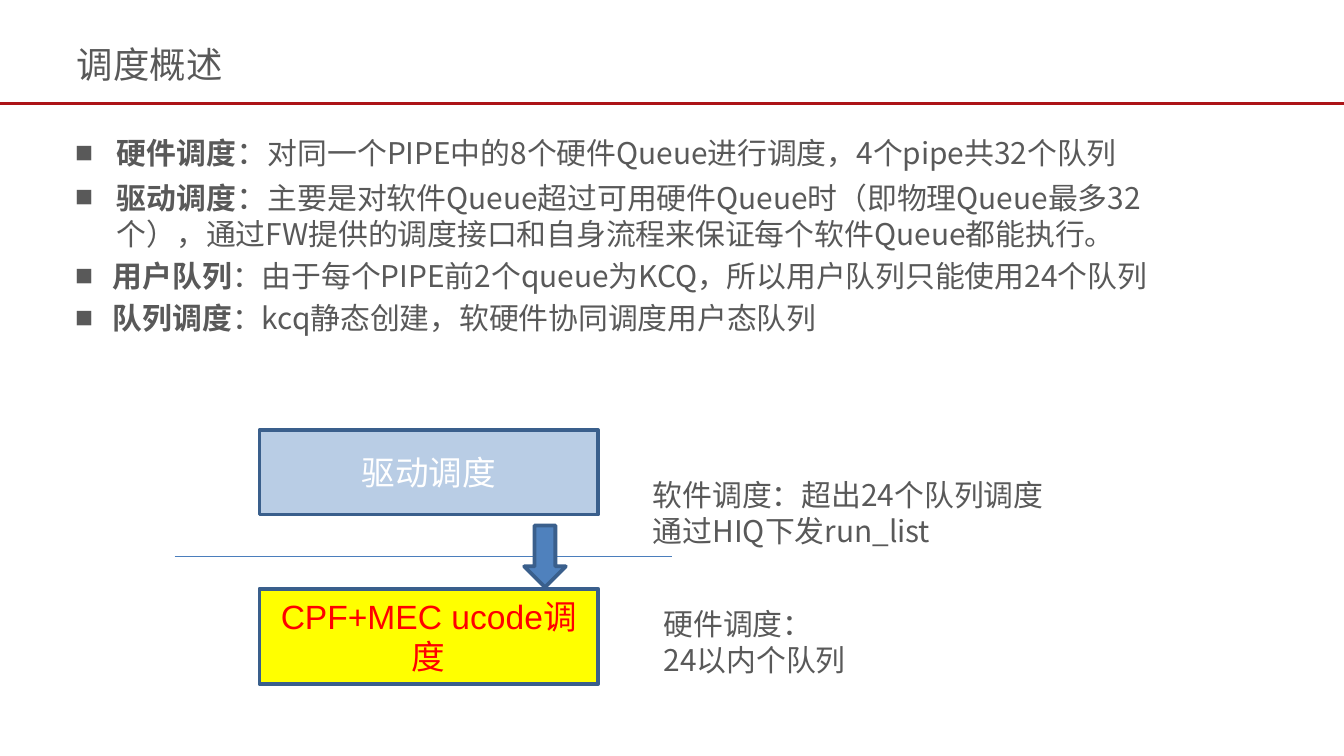
from dataclasses import dataclass

from lxml import etree
from pptx import Presentation
from pptx.dml.color import RGBColor
from pptx.enum import shapes, text
from pptx.oxml import ns
from pptx.util import Inches, Pt


@dataclass(frozen=True)
class Theme:
    font: str = "Noto Sans CJK SC"
    box_font: str = "Arial"
    ink: str = "595959"
    rule: str = "AC1317"
    divider: str = "4B7EBC"
    outline: str = "3A5F8C"
    arrow: str = "4F81BD"
    driver: str = "B9CDE5"
    driver_ink: str = "FFFFFF"
    ucode: str = "FFFF00"
    ucode_ink: str = "FF0000"
    title_size: float = 19.5
    body_size: float = 16
    colon_size: float = 17
    box_size: float = 18


T = Theme()

BULLETS = [
    ("硬件调度", T.colon_size, 0.31,
     "对同一个PIPE中的8个硬件Queue进行调度，4个pipe共32个队列"),
    ("驱动调度", T.colon_size, 0.31,
     "主要是对软件Queue超过可用硬件Queue时（即物理Queue最多32个），"
     "通过FW提供的调度接口和自身流程来保证每个软件Queue都能执行。"),
    ("用户队列", T.body_size, 0.28,
     "由于每个PIPE前2个queue为KCQ，所以用户队列只能使用24个队列"),
    ("队列调度", T.body_size, 0.28, "kcq静态创建，软硬件协同调度用户态队列"),
]


def rgb(value):
    return RGBColor.from_string(value)


def place(sp, x, y, w, h):
    sp.left, sp.top, sp.width, sp.height = map(Inches, (x, y, w, h))


def add_run(p, content, size=T.body_size, color=T.ink, font=T.font, bold=False):
    r = p.add_run()
    r.text = content
    r.font.size, r.font.bold, r.font.name = Pt(size), bold, font
    r.font.color.rgb = rgb(color)
    ea = etree.SubElement(r.font._element, ns.qn("a:ea"))
    ea.set("typeface", T.font)


def set_bullet(p, indent):
    pPr = p._p.get_or_add_pPr()
    pPr.set("marL", str(Inches(indent)))
    pPr.set("indent", str(-Inches(indent)))
    etree.SubElement(pPr, ns.qn("a:buFont")).set("typeface", T.box_font)
    etree.SubElement(pPr, ns.qn("a:buChar")).set("char", "■")


def add_line(s, x1, y1, x2, y2, color, width):
    c = s.shapes.add_connector(
        shapes.MSO_CONNECTOR.STRAIGHT, *map(Inches, (x1, y1, x2, y2)))
    c.line.color.rgb, c.line.width = rgb(color), Pt(width)
    etree.SubElement(c._element.spPr, ns.qn("a:effectLst"))


def add_shape(s, kind, x, y, w, h, fill):
    sp = s.shapes.add_shape(kind, *map(Inches, (x, y, w, h)))
    sp.shadow.inherit = False
    sp.fill.solid()
    sp.fill.fore_color.rgb = rgb(fill)
    sp.line.color.rgb, sp.line.width = rgb(T.outline), Pt(2)
    return sp


def add_box(s, x, y, w, h, content, fill, color):
    sp = add_shape(s, shapes.MSO_SHAPE.RECTANGLE, x, y, w, h, fill)
    tf = sp.text_frame
    tf.word_wrap, tf.vertical_anchor = True, text.MSO_ANCHOR.MIDDLE
    p = tf.paragraphs[0]
    p.alignment = text.PP_ALIGN.CENTER
    add_run(p, content, T.box_size, color, T.box_font)


def add_label(s, x, y, w, h, lines):
    tf = s.shapes.add_textbox(*map(Inches, (x, y, w, h))).text_frame
    tf.word_wrap = True
    for i, line in enumerate(lines):
        add_run(tf.add_paragraph() if i else tf.paragraphs[0], line)


def add_header(s, x, y, w, h):
    sp = s.shapes.title
    place(sp, x + 0.47, y + 0.24, 5.55, 0.47)
    tf = sp.text_frame
    tf.auto_size = text.MSO_AUTO_SIZE.NONE
    tf.vertical_anchor = text.MSO_ANCHOR.MIDDLE
    p = tf.paragraphs[0]
    p.alignment = text.PP_ALIGN.LEFT
    add_run(p, "调度概述", T.title_size)
    add_line(s, x, y + h, x + w, y + h, T.rule, 1.5)


def add_overview(s, x, y, w, h):
    sp = s.placeholders[1]
    place(sp, x, y, w, h)
    tf = sp.text_frame
    tf.auto_size = text.MSO_AUTO_SIZE.NONE
    for i, (term, colon_size, indent, detail) in enumerate(BULLETS):
        p = tf.add_paragraph() if i else tf.paragraphs[0]
        set_bullet(p, indent)
        add_run(p, term, bold=True)
        add_run(p, "：", colon_size)
        add_run(p, detail)


def add_diagram(s, x, y, w, h):
    box_x, box_w, ucode_h = x + 0.63, 2.52, 0.71
    add_box(s, box_x, y, box_w, 0.63, "驱动调度", T.driver, T.driver_ink)
    add_box(s, box_x, y + h - ucode_h, box_w, ucode_h,
            "CPF+MEC ucode调度", T.ucode, T.ucode_ink)
    add_line(s, x, y + 0.94, x + 3.7, y + 0.94, T.divider, 0.75)
    add_label(s, x + 3.54, y + 1.26, 2.36, 0.64, ["硬件调度：", "24以内个队列"])
    add_label(s, x + 3.46, y + 0.3, w - 3.46, 0.64,
              ["软件调度：超出24个队列调度", "通过HIQ下发run_list"])
    add_shape(s, shapes.MSO_SHAPE.DOWN_ARROW, x + 2.6, y + 0.71, 0.31, 0.46, T.arrow)


def main():
    prs = Presentation()
    prs.slide_width = Inches(10)
    prs.slide_height = prs.slide_width * 9 // 16
    s = prs.slides.add_slide(prs.slide_layouts[1])
    add_header(s, 0, 0, 10, 0.77)
    add_overview(s, 0.46, 0.94, 8.4, 1.94)
    add_diagram(s, 1.3, 3.2, 7.79, 1.89)
    prs.save("out.pptx")


if __name__ == "__main__":
    main()
